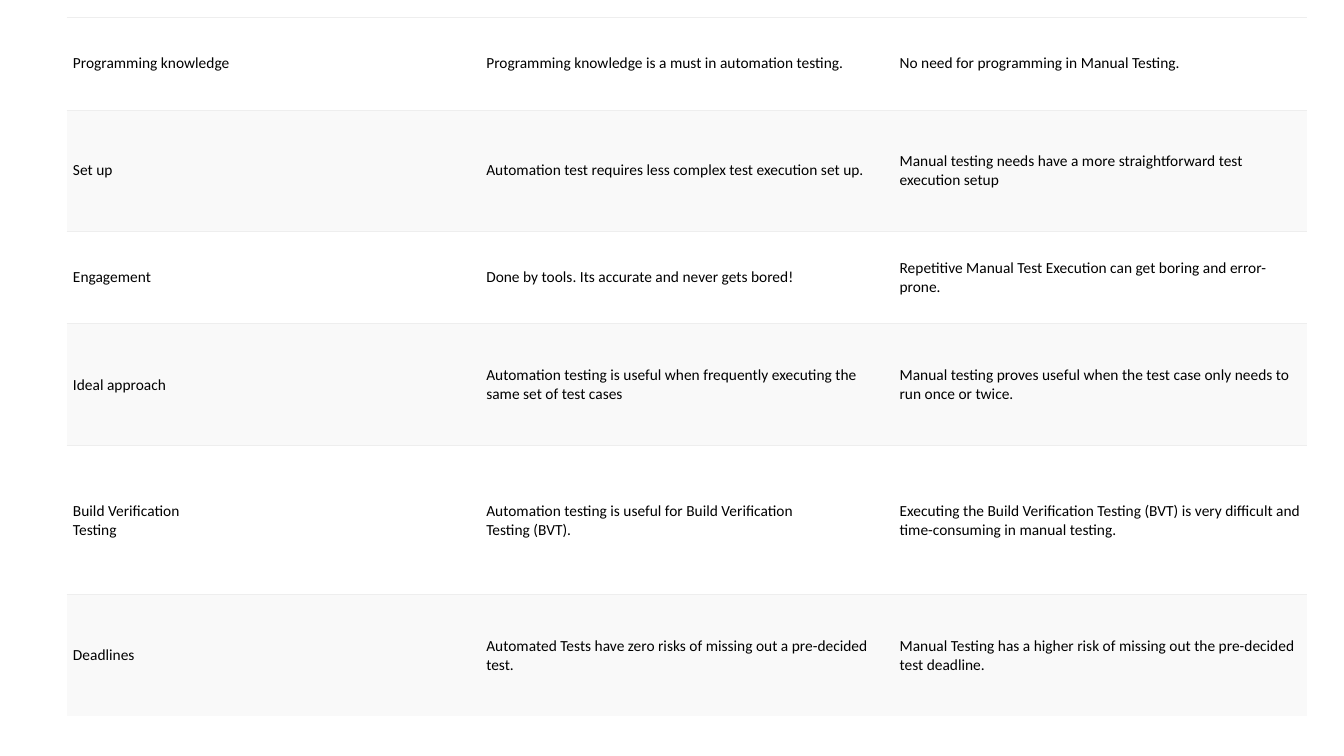
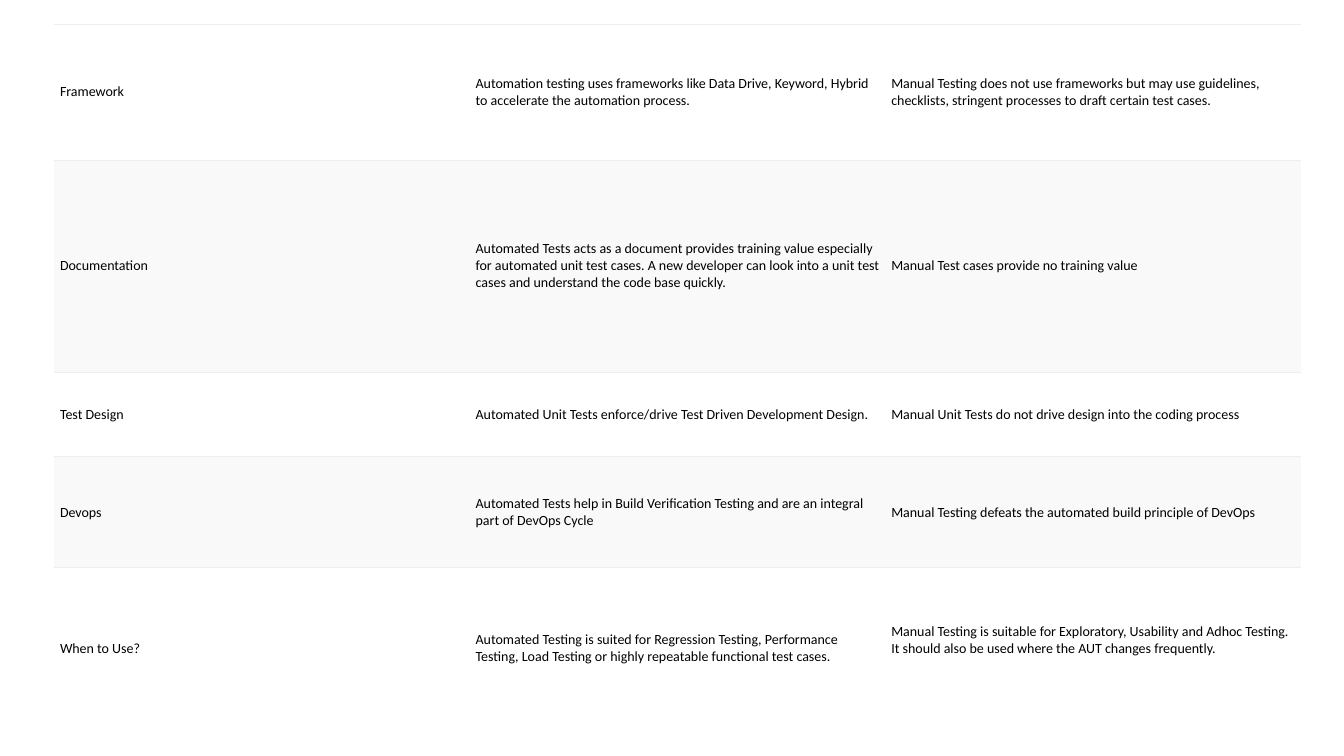
from dataclasses import dataclass

from lxml import etree
from pptx import Presentation, util as u
from pptx.dml.color import RGBColor
from pptx.enum import text as t
from pptx.oxml.ns import qn

PX_PER_INCH = 100.8


@dataclass(frozen=True)
class Theme:
    font: str = "Calibri"
    ink: str = "000000"
    rule: str = "EEEEEE"
    rule_points: float = 0.75
    bands: tuple[str, str] = ("FFFFFF", "F9F9F9")
    side_margin: int = 6
    edge_margin: int = 3


@dataclass(frozen=True)
class Criterion:
    height: int
    topic: str
    automated: str
    manual: str
    manual_lift: int = 0  # extra space under the manual text


@dataclass(frozen=True)
class Comparison:
    left: int
    top: int
    width: int
    type_size: int
    criteria: tuple[Criterion, ...]


THEME = Theme()
COLUMNS = 3

COMPARISONS = (
    Comparison(67, 17, 1240, 11, (
        Criterion(93, "Programming knowledge",
                  "Programming knowledge is a must in automation testing.",
                  "No need for programming in Manual Testing."),
        Criterion(121, "Set up",
                  "Automation test requires less complex test execution set up.",
                  "Manual testing needs have a more straightforward test execution setup"),
        Criterion(93, "Engagement",
                  "Done by tools. Its accurate and never gets bored!",
                  "Repetitive Manual Test Execution can get boring and error-prone."),
        Criterion(122, "Ideal approach",
                  "Automation testing is useful when frequently executing the same set of test cases",
                  "Manual testing proves useful when the test case only needs to run once or twice."),
        Criterion(149, "Build Verification\nTesting",
                  "Automation testing is useful for Build Verification\nTesting (BVT).",
                  "Executing the Build Verification Testing (BVT) is very difficult "
                  "and time-consuming in manual testing."),
        Criterion(121, "Deadlines",
                  "Automated Tests have zero risks of missing out a pre-decided test.",
                  "Manual Testing has a higher risk of missing out the pre-decided test deadline."),
    )),
    Comparison(54, 24, 1247, 10, (
        Criterion(136, "Framework",
                  "Automation testing uses frameworks like Data Drive, Keyword, Hybrid "
                  "to accelerate the automation process.",
                  "Manual Testing does not use frameworks but may use guidelines, checklists, "
                  "stringent processes to draft certain test cases."),
        Criterion(212, "Documentation",
                  "Automated Tests acts as a document provides training value especially for "
                  "automated unit test cases. A new developer can look into a unit test cases "
                  "and understand the code base quickly.",
                  "Manual Test cases provide no training value"),
        Criterion(85, "Test Design",
                  "Automated Unit Tests enforce/drive Test Driven Development Design.",
                  "Manual Unit Tests do not drive design into the coding process"),
        Criterion(111, "Devops",
                  "Automated Tests help in Build Verification Testing and are an integral "
                  "part of DevOps Cycle",
                  "Manual Testing defeats the automated build principle of DevOps"),
        Criterion(161, "When to Use?",
                  "Automated Testing is suited for Regression Testing, Performance Testing, "
                  "Load Testing or highly repeatable functional test cases.",
                  "Manual Testing is suitable for Exploratory, Usability and Adhoc Testing. "
                  "It should also be used where the AUT changes frequently.",
                  manual_lift=17),
    )),
)


def px(length: float) -> u.Emu:
    return u.Emu(round(length * 914400 / PX_PER_INCH))


def set_borders(cell, ruled_sides: str) -> None:
    """Rule the given sides (letters of LRTB) and clear the others."""
    properties = cell._tc.get_or_add_tcPr()
    for side in "LRTB":
        line = etree.SubElement(properties, qn(f"a:ln{side}"),
                                w=str(u.Pt(THEME.rule_points)))
        if side in ruled_sides:
            fill = etree.SubElement(line, qn("a:solidFill"))
            etree.SubElement(fill, qn("a:srgbClr"), val=THEME.rule)
        else:
            etree.SubElement(line, qn("a:noFill"))


def write_cell(cell, wording: str, type_size: int, lift: int) -> None:
    cell.vertical_anchor = t.MSO_ANCHOR.MIDDLE
    cell.margin_left = cell.margin_right = px(THEME.side_margin)
    cell.margin_top = px(THEME.edge_margin)
    cell.margin_bottom = px(THEME.edge_margin + lift)
    paragraph = cell.text_frame.paragraphs[0]
    paragraph.text = wording
    for run in paragraph.runs:
        run.font.name = THEME.font
        run.font.size = u.Pt(type_size)
        run.font.color.rgb = RGBColor.from_string(THEME.ink)
    for line_break in paragraph._p.findall(qn("a:br")):
        etree.SubElement(line_break, qn("a:rPr"), sz=str(type_size * 100))


def add_comparison(slide, comparison: Comparison) -> None:
    criteria = comparison.criteria
    table = slide.shapes.add_table(
        len(criteria), COLUMNS, px(comparison.left), px(comparison.top),
        px(comparison.width), px(sum(c.height for c in criteria))).table
    table.first_row = table.horz_banding = False
    for column in table.columns:
        column.width = px(comparison.width / COLUMNS)
    for index, criterion in enumerate(criteria):
        table.rows[index].height = px(criterion.height)
        ruled_sides = "T" if index == len(criteria) - 1 else "TB"
        band = RGBColor.from_string(THEME.bands[index % 2])
        entries = ((criterion.topic, 0), (criterion.automated, 0),
                   (criterion.manual, criterion.manual_lift))
        for cell, (wording, lift) in zip(table.rows[index].cells, entries):
            write_cell(cell, wording, comparison.type_size, lift)
            set_borders(cell, ruled_sides)
            cell.fill.solid()
            cell.fill.fore_color.rgb = band


def main() -> None:
    deck = Presentation()
    deck.slide_width, deck.slide_height = px(1344), px(756)
    blank = deck.slide_layouts[6]
    for comparison in COMPARISONS:
        add_comparison(deck.slides.add_slide(blank), comparison)
    deck.save("out.pptx")


if __name__ == "__main__":
    main()
